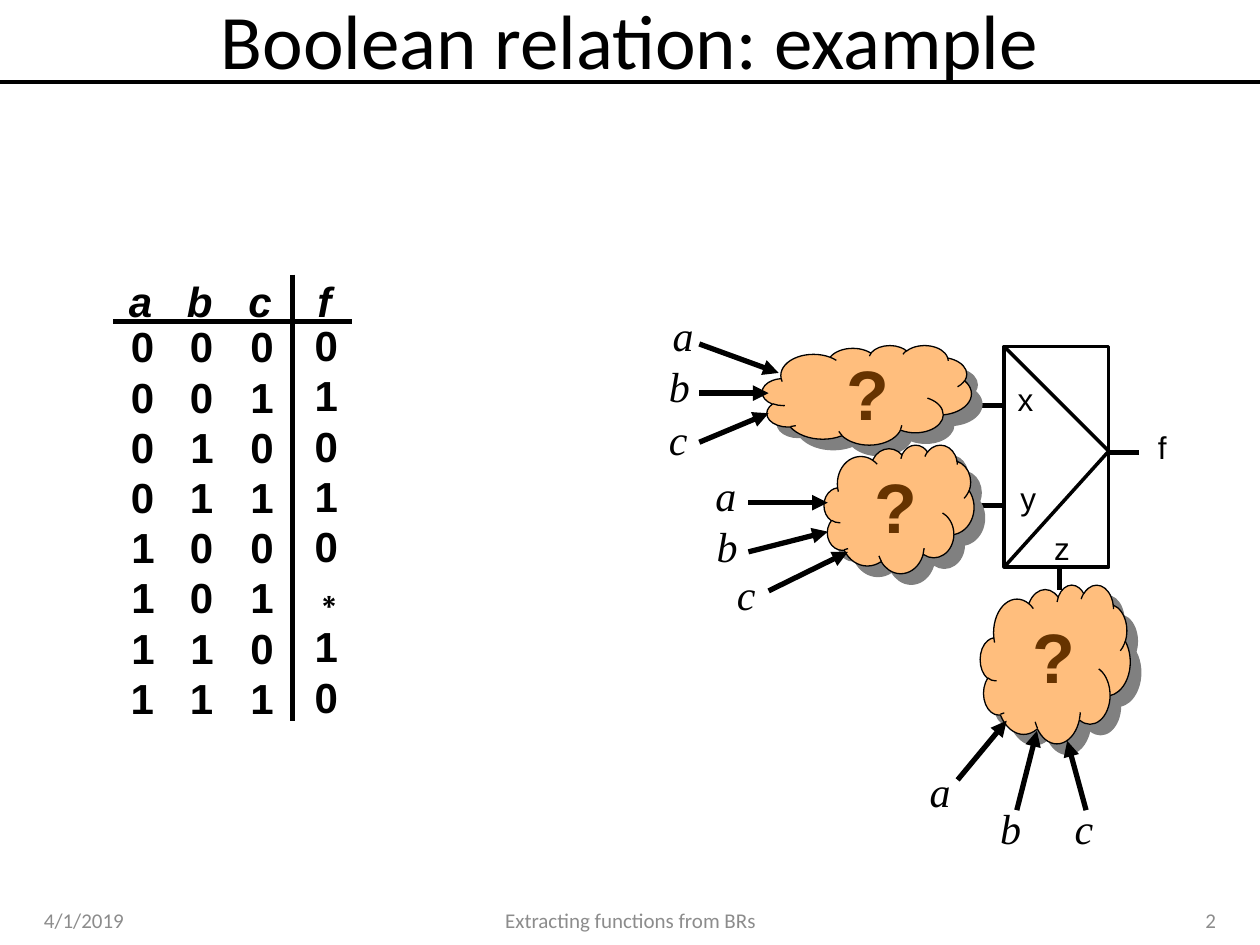
from dataclasses import dataclass

from lxml.etree import SubElement
from pptx import Presentation
from pptx.dml.color import RGBColor as RGB
from pptx.enum.shapes import MSO_CONNECTOR as Connector, MSO_SHAPE as Preset
from pptx.enum.text import MSO_ANCHOR as Anchor, MSO_AUTO_SIZE as AutoSize, PP_ALIGN as Align
from pptx.oxml.ns import qn
from pptx.util import Inches, Pt


@dataclass(frozen=True)
class Theme:
    ink: RGB = RGB(0x00, 0x00, 0x00)
    cloud: RGB = RGB(0xFF, 0xBE, 0x7D)
    question: RGB = RGB(0x66, 0x33, 0x00)
    footer: RGB = RGB(0x8C, 0x8C, 0x8C)
    shadow: str = "808080"
    heading_font: str = "Calibri"
    body_font: str = "Arial"
    input_font: str = "Times New Roman"
    title_size: float = 44
    question_size: float = 40
    table_size: float = 24
    table_leading: float = 28.7
    port_size: float = 18
    footer_size: float = 12
    thin: float = 0.75
    medium: float = 2
    thick: float = 3


class SlideBuilder:
    def __init__(self, slide, theme):
        self.slide = slide
        self.theme = theme

    def text(self, words, box, font, size, color=None, align=Align.LEFT,
             anchor=Anchor.TOP, bold=False, italic=False, wrap=True, leading=None):
        label = self.slide.shapes.add_textbox(*map(Inches, box))
        frame = label.text_frame
        frame.text = words
        frame.word_wrap = wrap
        frame.auto_size = AutoSize.NONE if wrap else AutoSize.SHAPE_TO_FIT_TEXT
        frame.vertical_anchor = anchor
        paragraph = frame.paragraphs[0]
        paragraph.alignment = align
        if leading:
            paragraph.line_spacing = Pt(leading)
        style = paragraph.runs[0].font
        style.name = font
        style.size = Pt(size)
        style.bold = bold
        style.italic = italic
        style.color.rgb = color or self.theme.ink

    def line(self, start, end, width, arrow=False):
        wire = self.slide.shapes.add_connector(
            Connector.STRAIGHT, *map(Inches, (*start, *end)))
        wire.line.color.rgb = self.theme.ink
        wire.line.width = Pt(width)
        if arrow:
            SubElement(wire.line._get_or_add_ln(), qn("a:tailEnd"), type="triangle")
        SubElement(wire._element.spPr, qn("a:effectLst"))

    def mux_body(self, box):
        body = self.slide.shapes.add_shape(Preset.RECTANGLE, *map(Inches, box))
        body.shadow.inherit = False
        body.fill.background()
        body.line.color.rgb = self.theme.ink
        body.line.width = Pt(self.theme.medium)

    def cloud(self, box, question_at):
        theme = self.theme
        logic = self.slide.shapes.add_shape(Preset.CLOUD, *map(Inches, box))
        logic.fill.solid()
        logic.fill.fore_color.rgb = theme.cloud
        logic.line.color.rgb = theme.ink
        logic.line.width = Pt(theme.thin)
        logic.shadow.inherit = False
        effects = logic._element.spPr.find(qn("a:effectLst"))
        shadow = SubElement(effects, qn("a:outerShdw"), dist=str(Pt(8.5)),
                            dir="2700000", algn="ctr", rotWithShape="0")
        SubElement(shadow, qn("a:srgbClr"), val=theme.shadow)
        self.text("?", (*question_at, 0.54, 0.77), theme.body_font,
                  theme.question_size, theme.question, bold=True, wrap=False)

    def truth_column(self, name, values, left, top):
        theme = self.theme
        self.text(name, (left - 0.06, 2.14, 0.57, 0.33), theme.body_font,
                  theme.table_size, align=Align.CENTER, bold=True, italic=True)
        self.text(values, (left, top, 0.48, 1.93), theme.body_font,
                  theme.table_size, align=Align.CENTER, bold=True,
                  leading=theme.table_leading)

    def port(self, name, left, top, width=0.34):
        self.text(name, (left, top, width, 0.43), self.theme.body_font,
                  self.theme.port_size, align=Align.CENTER, wrap=False)

    def input(self, name, label_at, start, end):
        self.line(start, end, self.theme.thick, arrow=True)
        self.text(name, (*label_at, 0.37, 0.5), self.theme.input_font,
                  self.theme.table_size, italic=True, wrap=False)


def main():
    deck = Presentation()
    deck.slide_width, deck.slide_height = Inches(10), Inches(7.5)
    theme = Theme()
    page = SlideBuilder(deck.slides.add_slide(deck.slide_layouts[6]), theme)

    page.line((0, 0.65), (10, 0.65), theme.medium)
    page.text("Boolean relation: example", (0.5, -0.02, 9, 0.65), theme.heading_font,
              theme.title_size, align=Align.CENTER, anchor=Anchor.MIDDLE)

    truth_table = [("a", "00001111", 0.89, 2.5), ("b", "00110011", 1.36, 2.5),
                   ("c", "01010101", 1.84, 2.5), ("f", "01010∗10", 2.35, 2.49)]
    for column in truth_table:
        page.truth_column(*column)
    page.line((0.9, 2.55), (2.79, 2.55), theme.thick)
    page.line((2.32, 2.18), (2.32, 5.72), theme.thick)

    page.mux_body((7.97, 2.75, 0.83, 1.75))
    for corner in [(7.97, 2.75), (7.97, 4.5)]:
        page.line(corner, (8.8, 3.58), theme.medium)
    page.port("f", 9.09, 3.35, width=0.27)
    for name, left, top in [("x", 7.97, 2.97), ("y", 7.99, 3.75), ("z", 8.26, 4.15)]:
        page.port(name, left, top)
    stubs = [((8.41, 4.51), (8.41, 4.68)), ((7.95, 4.01), (7.72, 4.01)),
             ((7.95, 3.22), (7.72, 3.22)), ((9.04, 3.59), (8.81, 3.59))]
    for start, end in stubs:
        page.line(start, end, theme.thick)

    clouds = [((6.05, 2.74, 1.66, 0.79), (6.62, 2.73)),
              ((6.54, 3.53, 1.19, 1.02), (6.84, 3.63)),
              ((7.78, 4.64, 1.19, 1.26), (8.1, 4.82))]
    for box, question_at in clouds:
        page.cloud(box, question_at)

    inputs = [
        ("a", (5.24, 2.41), (5.55, 2.73), (6.18, 2.96)),
        ("b", (5.21, 2.81), (5.55, 3.12), (6.1, 3.12)),
        ("c", (5.21, 3.23), (5.55, 3.51), (6.1, 3.28)),
        ("a", (5.58, 3.68), (5.94, 3.99), (6.57, 3.99)),
        ("b", (5.59, 4.08), (5.94, 4.38), (6.57, 4.22)),
        ("c", (5.75, 4.46), (6.1, 4.69), (6.73, 4.38)),
        ("a", (7.28, 6.03), (7.6, 6.19), (7.99, 5.72)),
        ("b", (7.84, 6.32), (8.07, 6.43), (8.23, 5.8)),
        ("c", (8.43, 6.32), (8.62, 6.43), (8.47, 5.88)),
    ]
    for signal in inputs:
        page.input(*signal)

    footers = [("4/1/2019", 0.25, 2.92, Align.LEFT),
               ("Extracting functions from BRs", 3.42, 3.17, Align.CENTER),
               ("2", 7.42, 2.33, Align.RIGHT)]
    for words, left, width, align in footers:
        page.text(words, (left, 7.1, width, 0.4), theme.heading_font, theme.footer_size,
                  theme.footer, align=align, anchor=Anchor.MIDDLE)

    deck.save("out.pptx")


if __name__ == "__main__":
    main()
